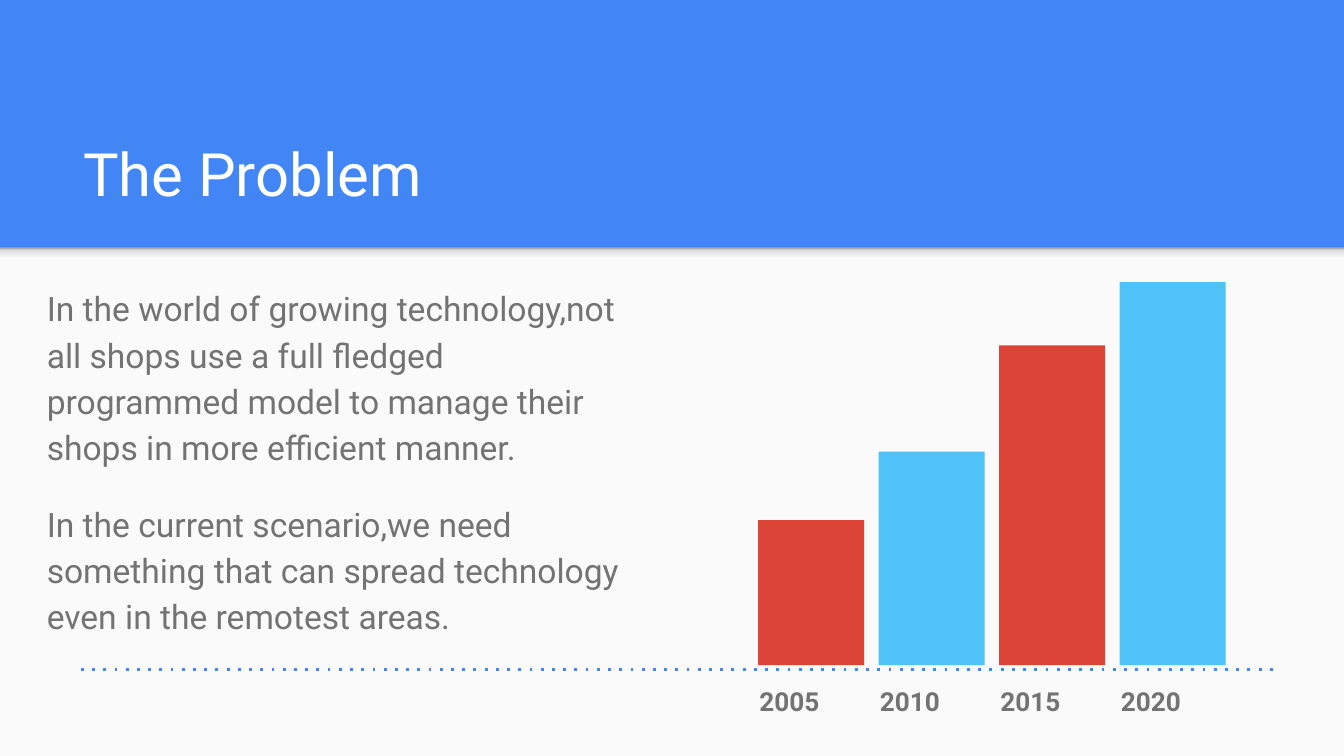
from lxml import etree
from pptx import Presentation
from pptx.dml.color import RGBColor
from pptx.enum import shapes, text
from pptx.oxml.ns import qn
from pptx.util import Inches, Pt

COLORS = {
    "blue": "4285F4", "paper": "FAFAFA", "white": "FFFFFF", "gray": "737373",
    "red": "DB4437", "sky": "4FC3F7",
}
SHADOW_STOPS = [(0, "F9F9F9"), (36, "F9F9F9"), (80, "DEDEDE"), (100, "999999")]
NO_STYLE_NO_GRID = "{2D5ABB26-0587-4C30-8999-92F81FD0307C}"
PAGE_WIDTH = 10
PAGE_HEIGHT = PAGE_WIDTH * 9 / 16
HEADER_HEIGHT = 1.84
BARS = [("2005", 1.08, "red"), ("2010", 1.59, "sky"),
        ("2015", 2.38, "red"), ("2020", 2.85, "sky")]
BAR_LEFT, LAST_BAR_LEFT, BAR_WIDTH, BAR_BASE = 5.64, 8.33, 0.79, 4.95
BAR_STEP = (LAST_BAR_LEFT - BAR_LEFT) / (len(BARS) - 1)
AXIS_TOP = 4.98
BODY = [
    "In the world of growing technology,not all shops use a full fledged "
    "programmed model to manage their shops in more efficient manner.",
    "In the current scenario,we need something that can spread technology "
    "even in the remotest areas.",
]


class SlideBuilder:
    font = "Roboto"
    inset = Inches(0.1)

    def __init__(self, slide):
        self.slide = slide

    def color(self, name):
        return RGBColor.from_string(COLORS[name])

    def background(self, name):
        fill = self.slide.background.fill
        fill.solid()
        fill.fore_color.rgb = self.color(name)

    def rectangle(self, left, top, width, height, name):
        shape = self.slide.shapes.add_shape(
            shapes.MSO_SHAPE.RECTANGLE,
            Inches(left), Inches(top), Inches(width), Inches(height))
        shape.shadow.inherit = False
        shape.line.fill.background()
        shape.fill.solid()
        shape.fill.fore_color.rgb = self.color(name)
        return shape

    def gradient_strip(self, left, top, width, height, stops):
        """Add a strip whose stops run from its bottom edge to its top."""
        shape = self.rectangle(left, top, width, height, "paper")
        shape.fill.gradient()
        shape.fill.gradient_angle = 90
        stop_list = shape.element.spPr.find(qn("a:gradFill")).find(qn("a:gsLst"))
        for old_stop in list(stop_list):
            stop_list.remove(old_stop)
        for percent, value in stops:
            stop = etree.SubElement(stop_list, qn("a:gs"), pos=str(percent * 1000))
            etree.SubElement(stop, qn("a:srgbClr"), val=value)

    def format_paragraph(self, para, size, name, bold=False, spacing=1.0):
        para.line_spacing = spacing
        for span in para.runs:
            span.font.name = self.font
            span.font.size = Pt(size)
            span.font.bold = bold
            span.font.color.rgb = self.color(name)

    def text_box(self, left, top, width, height, lines, size, name,
                 spacing=1.0, gap=0, anchor=text.MSO_ANCHOR.TOP):
        box = self.slide.shapes.add_textbox(
            Inches(left), Inches(top), Inches(width), Inches(height))
        frame = box.text_frame
        frame.word_wrap = True
        frame.vertical_anchor = anchor
        frame.margin_left = frame.margin_right = self.inset
        frame.margin_top = frame.margin_bottom = self.inset
        frame.text = "\n".join(lines)
        for index, para in enumerate(frame.paragraphs):
            self.format_paragraph(para, size, name, spacing=spacing)
            if index:
                para.space_before = Pt(gap)

    def label_table(self, left, top, column_width, height, labels):
        frame = self.slide.shapes.add_table(
            1, len(labels), Inches(left), Inches(top),
            Inches(column_width * len(labels)), Inches(height))
        table = frame.table
        table.first_row = table.horz_banding = False
        frame.element.find(".//" + qn("a:tableStyleId")).text = NO_STYLE_NO_GRID
        for cell, label in zip(table.rows[0].cells, labels):
            cell.fill.background()
            cell.margin_left = cell.margin_right = self.inset
            cell.margin_top = cell.margin_bottom = self.inset
            cell.text = label
            self.format_paragraph(cell.text_frame.paragraphs[0], 14, "gray",
                                  bold=True, spacing=1.15)

    def dotted_line(self, start, end, top, name, width):
        line = self.slide.shapes.add_connector(
            shapes.MSO_CONNECTOR.STRAIGHT,
            Inches(start), Inches(top), Inches(end), Inches(top))
        line.line.color.rgb = self.color(name)
        line.line.width = Pt(width)
        properties = line.element.spPr
        etree.SubElement(properties.find(qn("a:ln")), qn("a:prstDash"), val="dot")
        etree.SubElement(properties, qn("a:effectLst"))


def main():
    deck = Presentation()
    deck.slide_width, deck.slide_height = Inches(PAGE_WIDTH), Inches(PAGE_HEIGHT)
    page = SlideBuilder(deck.slides.add_slide(deck.slide_layouts[6]))

    page.background("blue")
    page.rectangle(0, HEADER_HEIGHT, PAGE_WIDTH, PAGE_HEIGHT - HEADER_HEIGHT, "paper")
    page.gradient_strip(0, HEADER_HEIGHT, PAGE_WIDTH, 0.12, SHADOW_STOPS)
    page.text_box(0.52, 0.81, 8.99, 0.84, ["The Problem"], 32, "white",
                  anchor=text.MSO_ANCHOR.BOTTOM)
    page.text_box(0.25, 2, 4.64, 3.06, BODY, 18, "gray", spacing=1.15, gap=16)

    page.label_table(5.55, AXIS_TOP, BAR_STEP, 0.26, [year for year, _, _ in BARS])
    for index, (_, height, name) in enumerate(BARS):
        page.rectangle(BAR_LEFT + index * BAR_STEP, BAR_BASE - height,
                       BAR_WIDTH, height, name)
    page.dotted_line(9.47, 0.56, AXIS_TOP, "blue", 1.5)

    deck.save("out.pptx")


if __name__ == "__main__":
    main()
